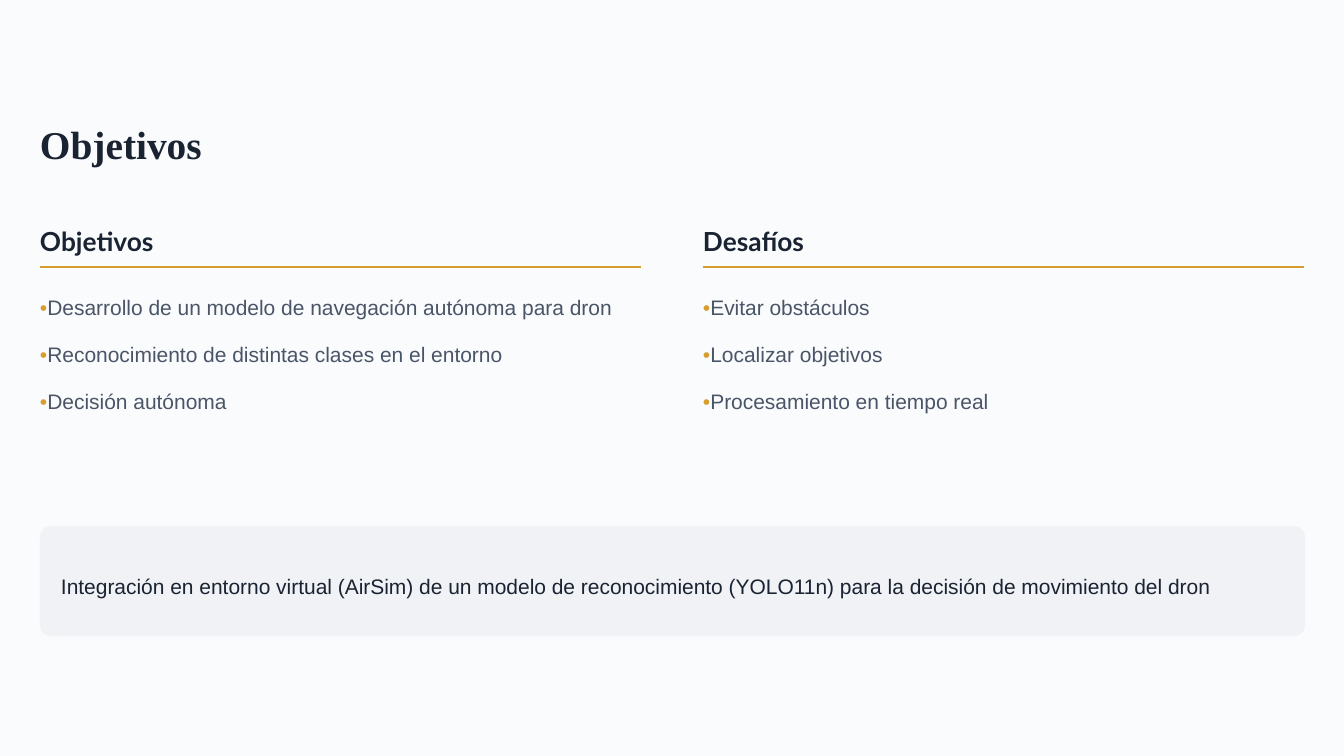
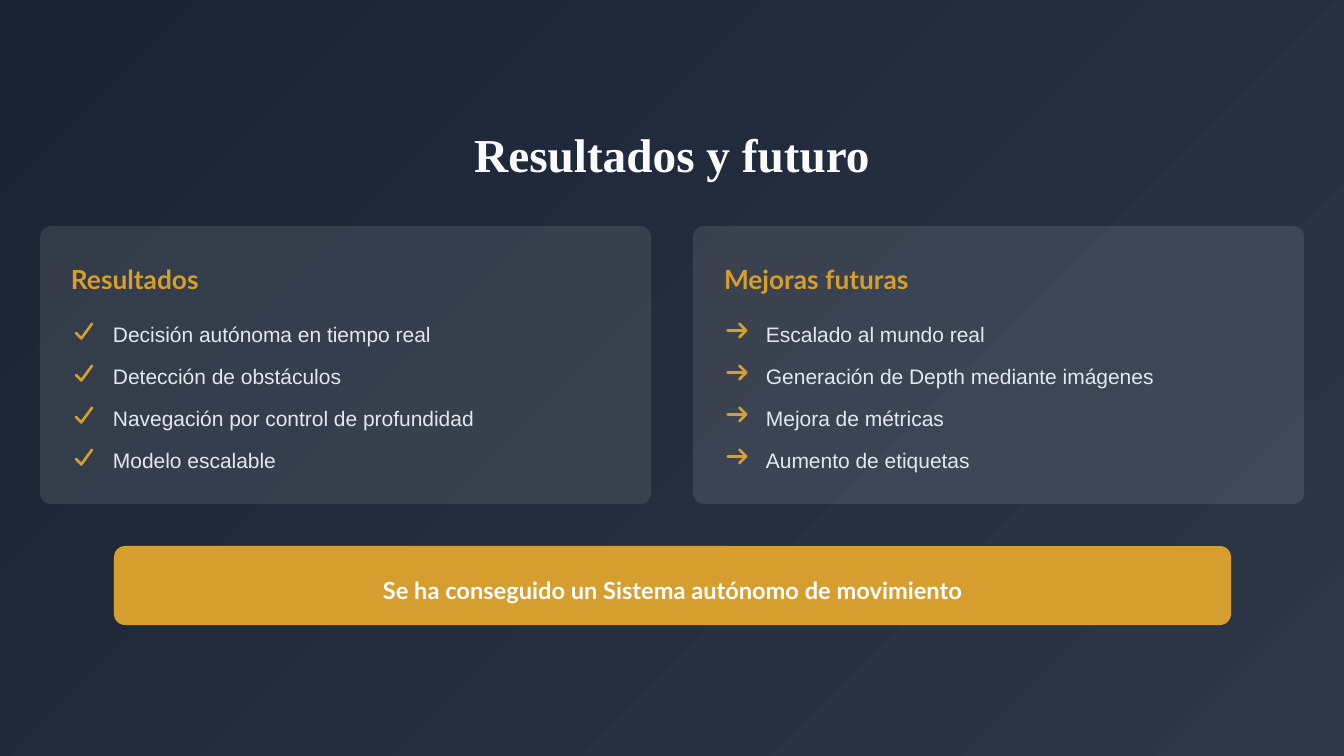
from lxml import etree
from pptx import Presentation
from pptx.dml.color import RGBColor
from pptx.enum.shapes import MSO_CONNECTOR, MSO_SHAPE
from pptx.enum.text import MSO_ANCHOR, MSO_AUTO_SIZE, PP_ALIGN
from pptx.oxml.ns import qn
from pptx.util import Pt

STRAIGHT = MSO_CONNECTOR.STRAIGHT
RECTANGLE = MSO_SHAPE.RECTANGLE
ROUNDED = MSO_SHAPE.ROUNDED_RECTANGLE
MIDDLE = MSO_ANCHOR.MIDDLE
NO_AUTOFIT = MSO_AUTO_SIZE.NONE
LEFT, CENTER = PP_ALIGN.LEFT, PP_ALIGN.CENTER

EMU_PER_PX = 914400 / 94.5
SLIDE_WIDTH, SLIDE_HEIGHT = 1344, 756
MARGIN = 40
CONTENT_WIDTH = 1265
CORNER_RADIUS = 11
TITLE_ONLY = 5

NAVY, SLATE, GRAY = "1A2332", "2D3748", "4A5568"
GOLD, WHITE, PAPER = "D69E2E", "FFFFFF", "FAFBFC"
PANEL, MIST, PALE = "F0F2F5", "E5E7EB", "E2E8F0"

# Text styles: font attributes, with paragraph settings beside them
TITLE = dict(name="Times New Roman", size=30, bold=True, color=NAVY)
CLOSING_TITLE = dict(TITLE, size=36, color=PAPER, align=CENTER, spacing=0.9)
HEADING = dict(name="Lato", size=20, bold=True, color=NAVY, spacing=1.2)
CARD_HEADING = dict(HEADING, color=GOLD)
ITEM = dict(name="Arial", size=16, bold=False, color=GRAY, spacing=1.3)
CARD_ITEM = dict(ITEM, color=PALE)
NOTE = dict(ITEM, color=NAVY, spacing=1.4)
BANNER = dict(HEADING, size=18, color=WHITE, spacing=1.3, align=CENTER)

# Icon outlines on a grid of 512 units
ICON_GRID, ICON_SIZE = 512, 21
CHECK = [(435, 70), (448, 91), (442, 115), (186, 467), (176, 476), (163, 480),
         (149, 478), (137, 471), (9, 343), (0, 320), (9, 297), (32, 288),
         (55, 297), (156, 399), (390, 77), (411, 64)]
ARROW = [(503, 279), (512, 256), (503, 233), (343, 73), (320, 64), (297, 73),
         (288, 96), (297, 119), (403, 224), (32, 224), (9, 233), (0, 256),
         (9, 279), (32, 288), (403, 288), (297, 393), (288, 416), (297, 439),
         (320, 448), (343, 439)]


def px(length):
    return round(length * EMU_PER_PX)


def emu_box(box):
    return [px(length) for length in box]


def rgb(color):
    return RGBColor.from_string(color)


def format_text(shape, runs, style, bottom=0):
    """Fill the shape with one paragraph of (text, color) runs."""
    frame = shape.text_frame
    settings = dict(word_wrap=True, auto_size=NO_AUTOFIT, vertical_anchor=MIDDLE,
                    margin_left=0, margin_top=0, margin_right=0,
                    margin_bottom=px(bottom))
    for name, value in settings.items():
        setattr(frame, name, value)
    paragraph = frame.paragraphs[0]
    paragraph.alignment = style.get("align", LEFT)
    paragraph.line_spacing = style.get("spacing", 1.0)
    for text, color in runs:
        run = paragraph.add_run()
        run.text = text
        for name, value in dict(name=style["name"], size=Pt(style["size"]),
                                bold=style["bold"]).items():
            setattr(run.font, name, value)
        run.font.color.rgb = rgb(color)


def add_text(slide, box, text, style, bottom=0, marker=""):
    runs = [(marker, GOLD)] if marker else []
    runs.append((text, style["color"]))
    format_text(slide.shapes.add_textbox(*emu_box(box)), runs, style, bottom)


def paint(shape, color, opacity=100):
    shape.shadow.inherit = False
    shape.line.fill.background()
    shape.fill.solid()
    shape.fill.fore_color.rgb = rgb(color)
    if opacity < 100:
        solid = shape.element.spPr.find(qn("a:solidFill"))
        etree.SubElement(solid[0], qn("a:alpha"), val=str(opacity * 1000))


def add_panel(slide, box, color, opacity=100):
    panel = slide.shapes.add_shape(ROUNDED, *emu_box(box))
    panel.adjustments[0] = CORNER_RADIUS / min(box[2:])
    paint(panel, color, opacity)


def add_callout(slide, box, color, text, style, inset):
    left, top, width, height = box
    add_panel(slide, box, color)
    text_box = (left + inset, top + 21, width - 2 * inset, height - 42)
    add_text(slide, text_box, text, style)


def add_icon(slide, center, top, outline):
    width = max(x for x, y in outline) * ICON_SIZE / ICON_GRID
    builder = slide.shapes.build_freeform(
        *outline[0], scale=px(ICON_SIZE) / ICON_GRID)
    builder.add_line_segments(outline[1:], close=True)
    paint(builder.convert_to_shape(px(center - width / 2), px(top)), GOLD)


def add_slide(presentation, background, title, box, style):
    slide = presentation.slides.add_slide(presentation.slide_layouts[TITLE_ONLY])
    slide.background.fill.solid()
    slide.background.fill.fore_color.rgb = rgb(background)
    placeholder = slide.shapes.title
    (placeholder.left, placeholder.top,
     placeholder.width, placeholder.height) = emu_box(box)
    format_text(placeholder, [(title, style["color"])], style)
    return slide


def add_gradient_backdrop(slide):
    backdrop = slide.shapes.add_shape(
        RECTANGLE, *emu_box((0, 0, SLIDE_WIDTH, SLIDE_HEIGHT)))
    backdrop.shadow.inherit = False
    backdrop.line.fill.background()
    backdrop.fill.gradient()
    backdrop.fill.gradient_angle = 315
    for stop, position, color in zip(backdrop.fill.gradient_stops,
                                     (0, 1), (NAVY, SLATE)):
        stop.position = position
        stop.color.rgb = rgb(color)
    # Send behind the title
    backdrop.element.getparent().insert(2, backdrop.element)


def add_bullet_column(slide, box, heading, items):
    left, top, width = box
    # Gold rule under the heading
    rule_top = top + 48
    rule = slide.shapes.add_connector(
        STRAIGHT, *emu_box((left, rule_top, left + width, rule_top)))
    rule.line.color.rgb = rgb(GOLD)
    rule.line.width = Pt(1.6)
    etree.SubElement(rule.element.spPr, qn("a:effectLst"))
    add_text(slide, (left, top, width + 13, 47), heading, HEADING, bottom=10)
    # Items with a gold marker
    for row, item in enumerate(items):
        add_text(slide, (left, top + 66 + 47 * row, width + 10, 37),
                 item, ITEM, marker="•")


def add_icon_card(slide, box, heading, outline, items):
    left, top, width, height = box
    add_panel(slide, box, WHITE, opacity=10)
    add_text(slide, (left + 31, top + 31, width - 50, 37), heading, CARD_HEADING)
    # Items, each with its icon
    for row, item in enumerate(items):
        row_top = top + 89 + 42 * row
        add_icon(slide, left + 44, row_top + 5, outline)
        add_text(slide, (left + 73, row_top, width - 94, 31), item, CARD_ITEM)


def build_objectives(presentation):
    slide = add_slide(presentation, PAPER, "Objetivos",
                      (MARGIN, 120, 1285, 47), TITLE)
    columns = [
        ("Objetivos", ["Desarrollo de un modelo de navegación autónoma para dron",
                       "Reconocimiento de distintas clases en el entorno",
                       "Decisión autónoma"]),
        ("Desafíos", ["Evitar obstáculos", "Localizar objetivos",
                      "Procesamiento en tiempo real"]),
    ]
    gap = 62
    width = (CONTENT_WIDTH - gap) // 2
    for index, (heading, items) in enumerate(columns):
        left = MARGIN + index * (width + gap)
        add_bullet_column(slide, (left, 219, width), heading, items)
    add_callout(slide, (MARGIN, 526, CONTENT_WIDTH, 110), PANEL,
                "Integración en entorno virtual (AirSim) de un modelo de "
                "reconocimiento (YOLO11n) para la decisión de movimiento del dron",
                NOTE, inset=21)


def build_results(presentation):
    slide = add_slide(presentation, MIST, "Resultados y futuro",
                      (27, 131, 1290, 53), CLOSING_TITLE)
    add_gradient_backdrop(slide)
    cards = [
        ("Resultados", CHECK, ["Decisión autónoma en tiempo real",
                               "Detección de obstáculos",
                               "Navegación por control de profundidad",
                               "Modelo escalable"]),
        ("Mejoras futuras", ARROW, ["Escalado al mundo real",
                                    "Generación de Depth mediante imágenes",
                                    "Mejora de métricas",
                                    "Aumento de etiquetas"]),
    ]
    gap = 42
    width = (CONTENT_WIDTH - gap) // 2
    for index, card in enumerate(cards):
        left = MARGIN + index * (width + gap)
        add_icon_card(slide, (left, 226, width, 278), *card)
    add_callout(slide, (114, 546, 1117, 79), GOLD,
                "Se ha conseguido un Sistema autónomo de movimiento",
                BANNER, inset=15)


def main():
    presentation = Presentation()
    presentation.slide_width = px(SLIDE_WIDTH)
    presentation.slide_height = px(SLIDE_HEIGHT)
    build_objectives(presentation)
    build_results(presentation)
    presentation.save("out.pptx")


if __name__ == "__main__":
    main()
